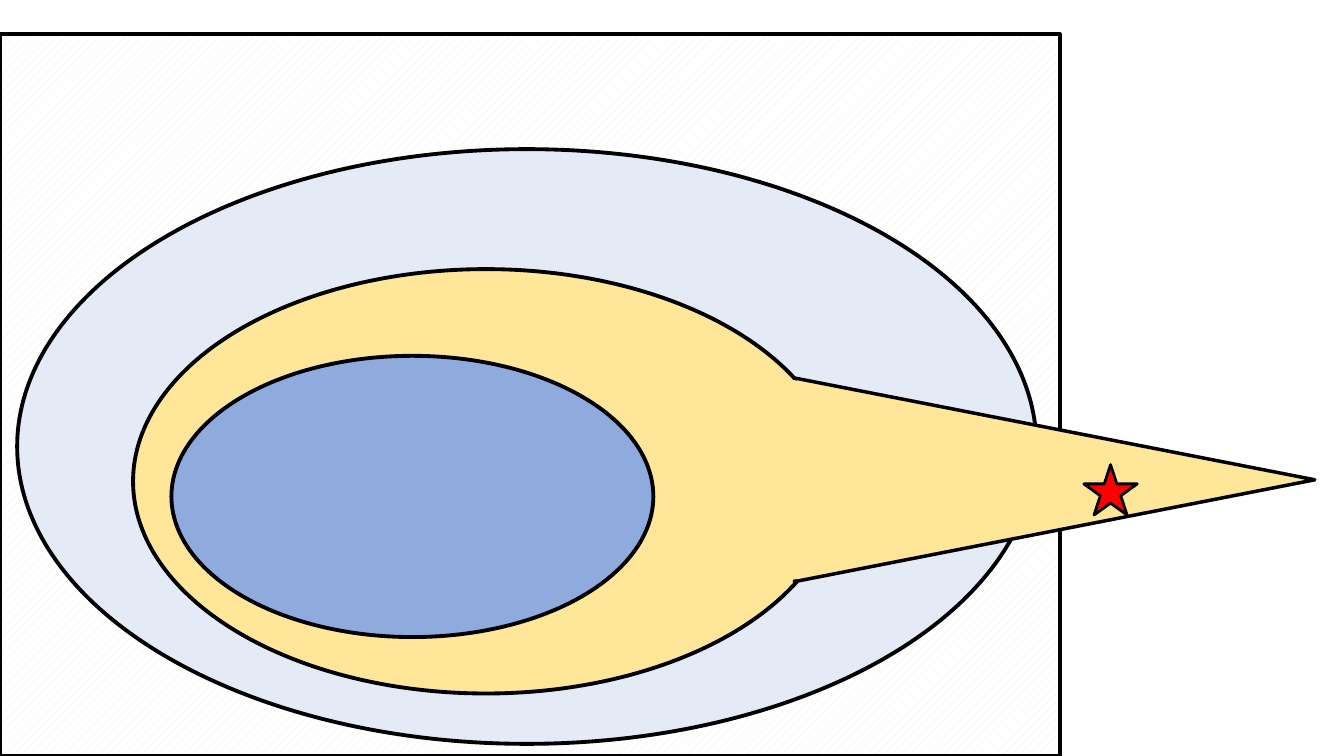
from lxml.etree import SubElement
from pptx import Presentation
from pptx.dml.color import RGBColor
from pptx.enum.dml import MSO_PATTERN as Pat
from pptx.enum.shapes import MSO_SHAPE as Kind
from pptx.oxml.ns import qn
from pptx.util import Inches, Pt

BLACK = RGBColor(0x00, 0x00, 0x00)
WHITE = RGBColor(0xFF, 0xFF, 0xFF)
GREY = RGBColor(0xED, 0xED, 0xED)
PALE = RGBColor(0xDA, 0xE3, 0xF3)
GOLD = RGBColor(0xFF, 0xE6, 0x99)
BLUE = RGBColor(0x8F, 0xAA, 0xDC)
RED = RGBColor(0xFF, 0x00, 0x00)


class Sketch:
    """Draws outlined and filled shapes on one slide."""

    def __init__(self, slide):
        self.slide = slide
        self.edge = BLACK

    def outline(self, kind, box, width, turn=0):
        shape = self.slide.shapes.add_shape(kind, *map(Inches, box))
        shape.shadow.inherit = False
        shape.rotation = turn
        if width:
            shape.line.color.rgb = self.edge
            shape.line.width = Pt(width)
        else:
            shape.line.fill.background()
        return shape

    def solid(self, kind, box, color, width=2.75, turn=0, alpha=100):
        fill = self.outline(kind, box, width, turn).fill
        fill.solid()
        fill.fore_color.rgb = color
        if alpha < 100:
            tint = fill._xPr.find(qn("a:solidFill"))[0]
            SubElement(tint, qn("a:alpha"), val=str(alpha * 1000))

    def hatch(self, box, width):
        fill = self.outline(Kind.RECTANGLE, box, width).fill
        fill.patterned()
        fill.pattern = Pat.PERCENT_20
        colors = {"fore_color": GREY, "back_color": WHITE}
        for name, color in colors.items():
            getattr(fill, name).rgb = color


def main():
    deck = Presentation()
    size = {"slide_width": 13.33, "slide_height": 7.5}
    for name, value in size.items():
        setattr(deck, name, Inches(value))
    sketch = Sketch(deck.slides.add_slide(deck.slide_layouts[6]))

    sketch.hatch((0, 0.34, 10.51, 7.16), 3)
    sketch.solid(Kind.OVAL, (0.17, 1.48, 10.11, 5.9), PALE, alpha=70)
    sketch.solid(Kind.OVAL, (1.32, 2.67, 7, 4.21), GOLD)
    sketch.solid(Kind.ISOSCELES_TRIANGLE, (9.45, 2.18, 2.02, 5.16), GOLD, 2.5, turn=90)
    sketch.solid(Kind.OVAL, (1.7, 3.53, 4.78, 2.79), BLUE)
    sketch.solid(Kind.OVAL, (6.95, 3.75, 1.54, 2.02), GOLD, 0)
    sketch.solid(Kind.STAR_5_POINT, (10.75, 4.61, 0.53, 0.5), RED, 2)
    deck.save("out.pptx")


if __name__ == "__main__":
    main()
